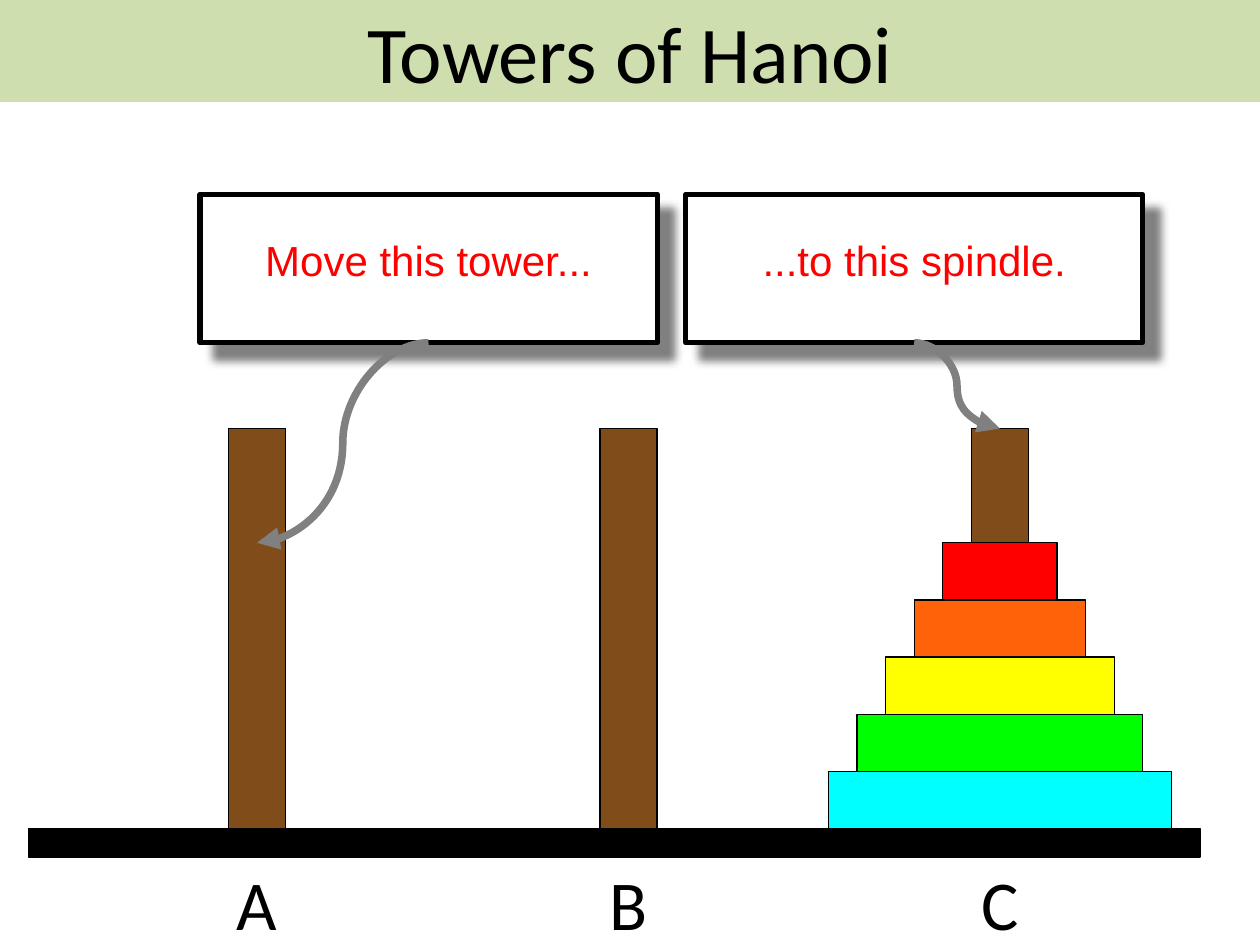
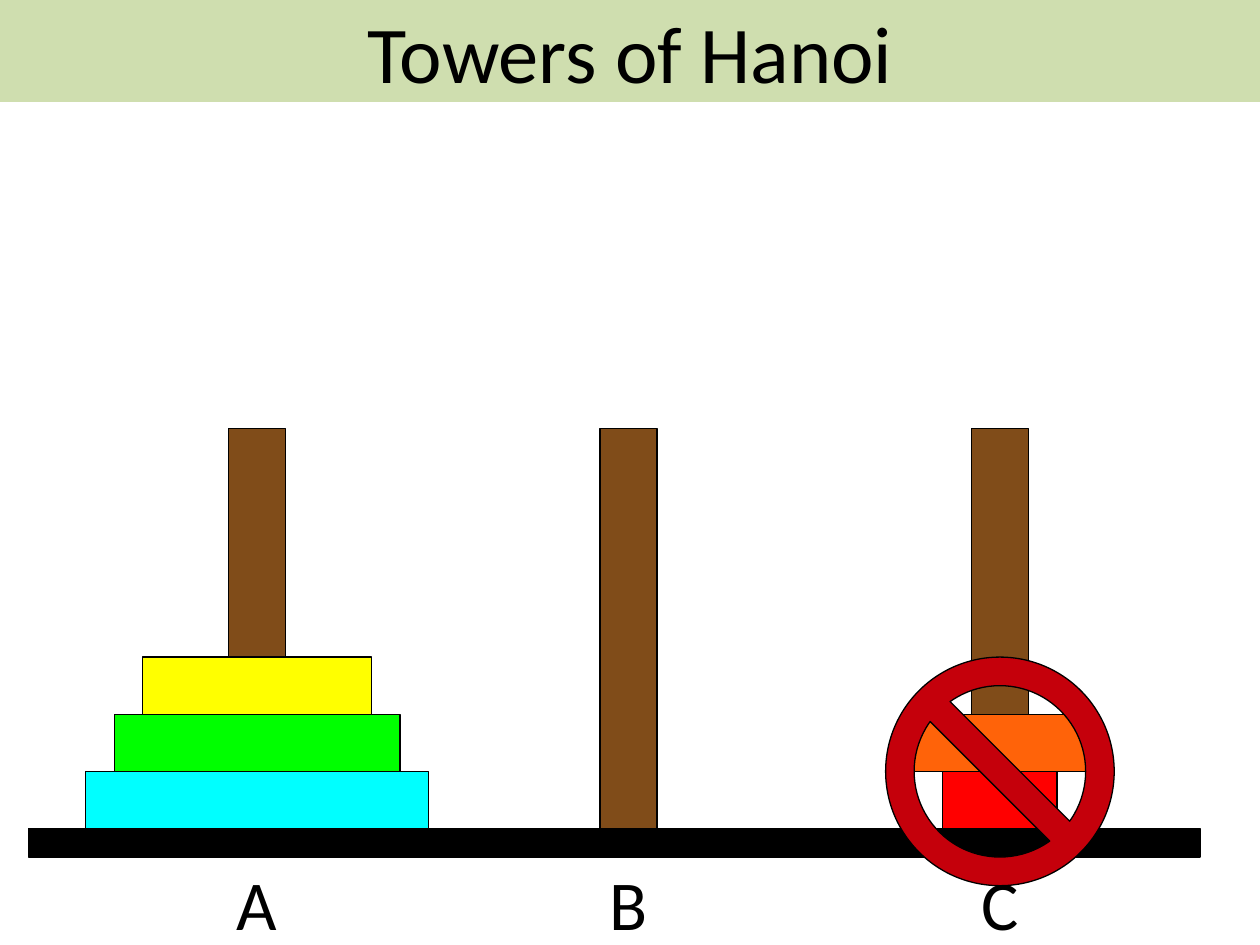
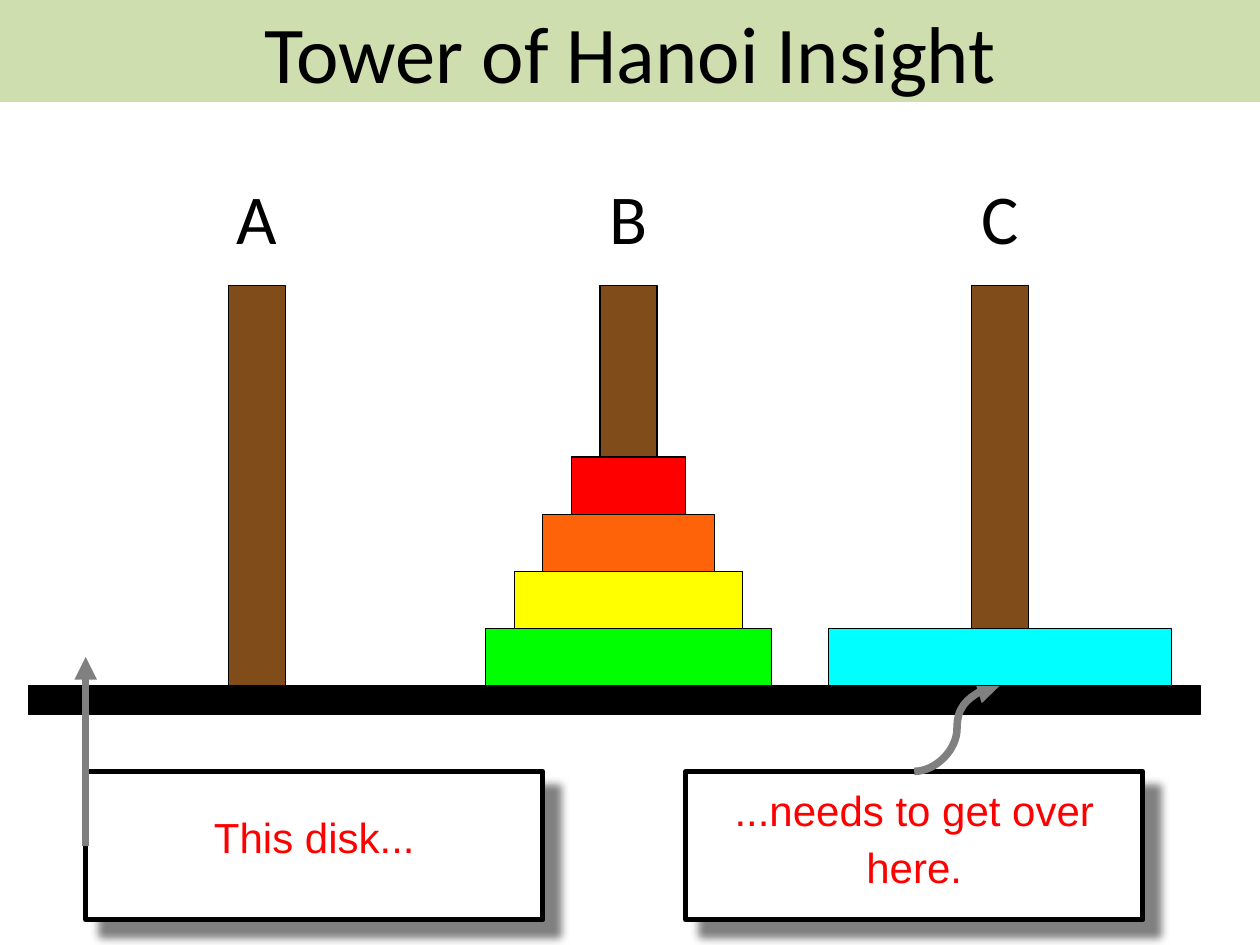
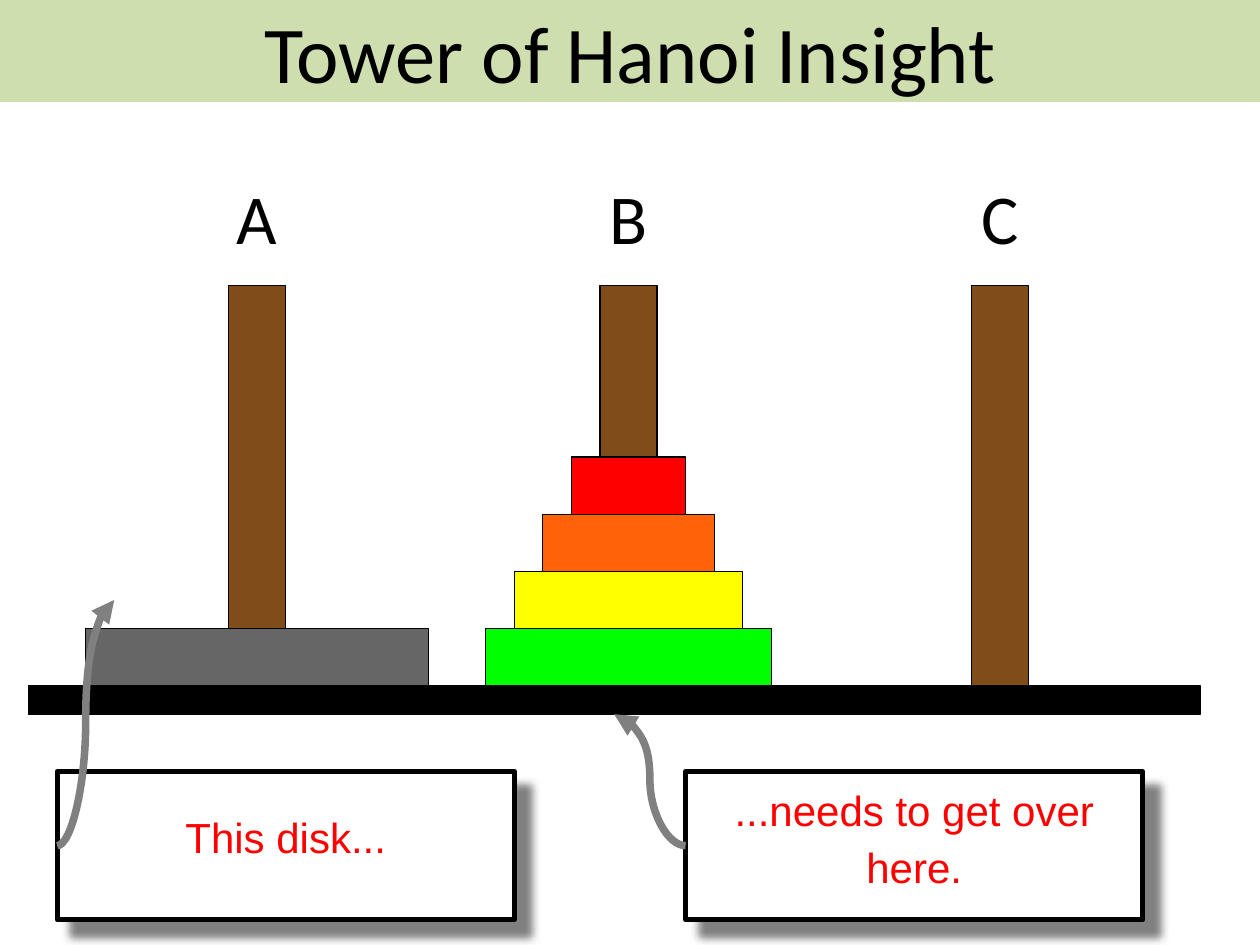
from lxml import etree
from pptx import Presentation
from pptx import util as u
from pptx.dml.color import RGBColor
from pptx.enum import shapes, text
from pptx.oxml.ns import qn

GRID = 9.07 / 40  # inches in one grid step; the drawing is laid out in these steps
COLORS = {
    "black": "000000", "white": "FFFFFF", "band": "C3D69B", "wood": "804C19",
    "callout": "FF0000", "arrow": "808080", "forbidden": "C5000B",
    "red": "FF0000", "orange": "FF6309", "yellow": "FFFF00",
    "green": "00FF00", "cyan": "00FFFF", "gray": "666666",
}
DISK_WIDTHS = {"red": 4, "orange": 6, "yellow": 8, "green": 10, "cyan": 12, "gray": 12}
CENTERS = {"A": 9, "B": 22, "C": 35}
SPINDLE_HEIGHT, DISK_HEIGHT = 14, 2
CALLOUT_WIDTH, CALLOUT_HEIGHT = 16, 5.2
LOW_BASE = {"base": 29, "labels": 30}
HIGH_BASE = {"base": 24, "labels": 6}

# Towers list their disks from the bottom up; callouts are (left, top, top inset, words).
SCENES = [
    {"title": "Towers of Hanoi", **LOW_BASE,
     "towers": {"C": ["cyan", "green", "yellow", "orange", "red"]},
     "callouts": [(7, 6.8, 0.27, "Move this tower..."),
                  (24, 6.8, 0.27, "...to this spindle.")],
     "arrows": [(15, 12, 9, 19), (32, 12, 35, 15)]},
    {"title": "Towers of Hanoi", **LOW_BASE,
     "towers": {"A": ["cyan", "green", "yellow"], "C": ["red", "orange"]},
     "callouts": [], "arrows": [], "forbidden": (31, 23, 8, 8)},
    {"title": "Tower of Hanoi Insight", **HIGH_BASE,
     "towers": {"B": ["green", "yellow", "orange", "red"], "C": ["cyan"]},
     "callouts": [(3, 27, 0.27, "This disk..."),
                  (24, 27, 0.06, "...needs to get over here.")],
     "arrows": [(3, 29.6, 3, 23), (32, 27, 35, 24)]},
    {"title": "Tower of Hanoi Insight", **HIGH_BASE,
     "towers": {"A": ["gray"], "B": ["green", "yellow", "orange", "red"]},
     "callouts": [(2, 27, 0.27, "This disk..."),
                  (24, 27, 0.06, "...needs to get over here.")],
     "arrows": [(2, 29.6, 4, 21), (24, 29.6, 21.5, 25)]},
]


def add_block(slide, left, top, width, height, color, line=0.75,
              kind=shapes.MSO_SHAPE.RECTANGLE):
    """Add a filled, black-edged shape placed in grid steps."""
    block = slide.shapes.add_shape(
        kind, *(u.Inches(steps * GRID) for steps in (left, top, width, height)))
    block.shadow.inherit = False
    block.fill.solid()
    block.fill.fore_color.rgb = RGBColor.from_string(COLORS[color])
    block.line.color.rgb = RGBColor.from_string(COLORS["black"])
    block.line.width = u.Pt(line)
    return block


def write(shape, words, size, font="Calibri", color="black", spacing=None, wrap=True,
          anchor=text.MSO_ANCHOR.MIDDLE, insets=(0.1, 0.05, 0.1, 0.05)):
    frame = shape.text_frame
    frame.word_wrap = wrap
    frame.vertical_anchor = anchor
    (frame.margin_left, frame.margin_top,
     frame.margin_right, frame.margin_bottom) = map(u.Inches, insets)
    paragraph = frame.paragraphs[0]
    paragraph.alignment = text.PP_ALIGN.CENTER
    paragraph.line_spacing = spacing
    run = paragraph.add_run()
    run.text = words
    run.font.size = u.Pt(size)
    run.font.name = font
    run.font.color.rgb = RGBColor.from_string(COLORS[color])


deck = Presentation()
deck.slide_width, deck.slide_height = u.Inches(10), u.Inches(7.5)

for scene in SCENES:
    slide = deck.slides.add_slide(deck.slide_layouts[6])
    base = scene["base"]

    for letter, center in CENTERS.items():
        add_block(slide, center - 1, base - SPINDLE_HEIGHT, 2, SPINDLE_HEIGHT, "wood")
        label = slide.shapes.add_textbox(
            *(u.Inches(steps * GRID) for steps in (center - 2, scene["labels"], 4, 3)))
        write(label, letter, 40, wrap=False, insets=(0.09, 0.08, 0.09, 0.04))
    add_block(slide, 1, base, 41, 1, "black")

    # The arrows pass in front of tower A and behind the other towers.
    for layer in ("A", "BC"):
        for letter in layer:
            for level, color in enumerate(scene["towers"].get(letter, []), start=1):
                width = DISK_WIDTHS[color]
                add_block(slide, CENTERS[letter] - width / 2, base - level * DISK_HEIGHT,
                          width, DISK_HEIGHT, color)
        if layer != "A":
            continue

        for left, top, inset, words in scene["callouts"]:
            callout = add_block(slide, left, top, CALLOUT_WIDTH, CALLOUT_HEIGHT,
                                "white", line=2.89)
            write(callout, words, 24, font="Arial", color="callout", spacing=1.12,
                  anchor=text.MSO_ANCHOR.TOP, insets=(0.11, inset, 0.11, 0.06))
            effects = callout._element.spPr.find(qn("a:effectLst"))
            shadow = etree.SubElement(
                effects, qn("a:outerShdw"), blurRad=str(u.Pt(5)), dist=str(u.Pt(12.2)),
                dir="2700000", algn="tl", rotWithShape="0")
            etree.SubElement(shadow, qn("a:srgbClr"), val=COLORS["arrow"])

        for points in scene["arrows"]:
            arrow = slide.shapes.add_connector(
                shapes.MSO_CONNECTOR.CURVE, *(u.Inches(steps * GRID) for steps in points))
            arrow.line.color.rgb = RGBColor.from_string(COLORS["arrow"])
            arrow.line.width = u.Pt(4.31)
            etree.SubElement(arrow.line._get_or_add_ln(), qn("a:tailEnd"), type="triangle")
            etree.SubElement(arrow._element.spPr, qn("a:effectLst"))

    if "forbidden" in scene:
        sign = add_block(slide, *scene["forbidden"], "forbidden",
                         kind=shapes.MSO_SHAPE.NO_SYMBOL)
        sign.adjustments[0] = 0.125

    band = add_block(slide, 0, 0, 10 / GRID, 0.81 / GRID, "band")
    band.line.fill.background()
    tint = band._element.spPr.find(qn("a:solidFill")).find(qn("a:srgbClr"))
    etree.SubElement(tint, qn("a:alpha"), val="80000")
    write(band, scene["title"], 46)

deck.save("out.pptx")
